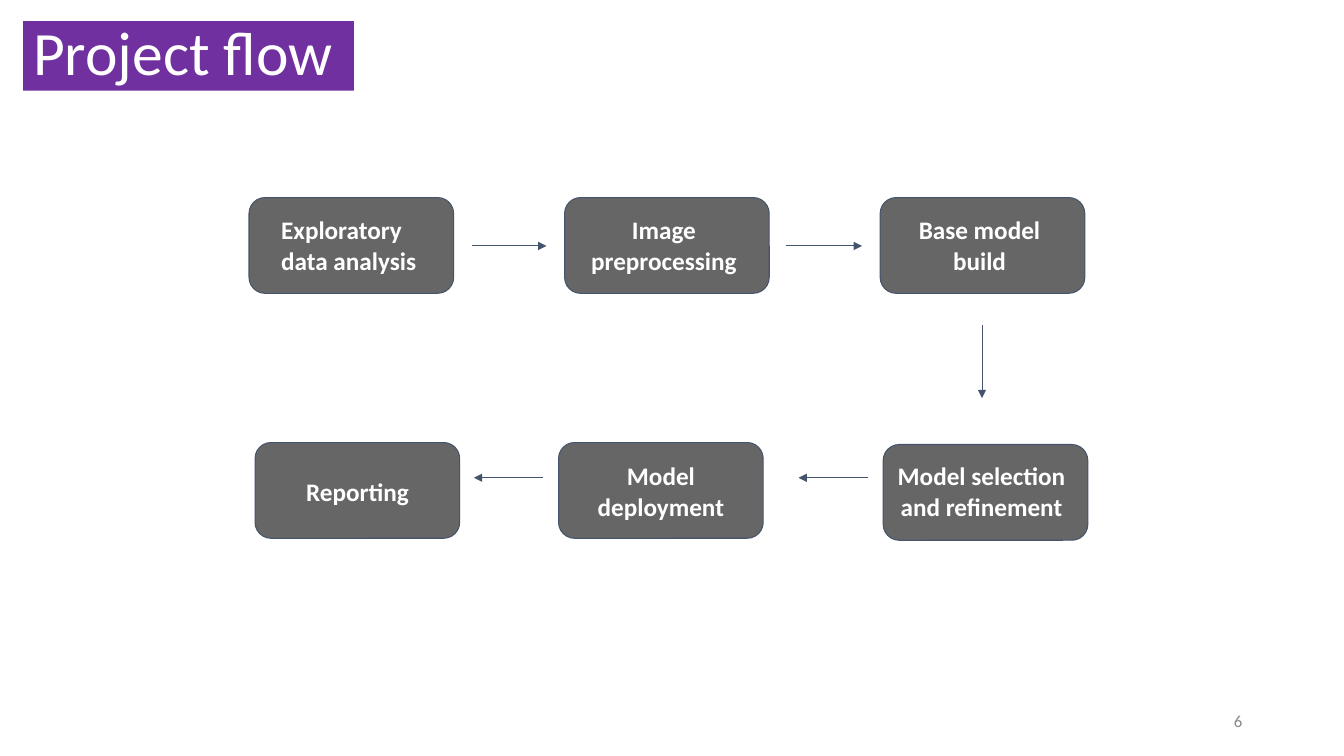
from lxml import etree
from pptx import Presentation
from pptx.dml.color import RGBColor
from pptx.enum.shapes import MSO_CONNECTOR, MSO_SHAPE
from pptx.enum.text import MSO_ANCHOR, PP_ALIGN
from pptx.oxml.ns import qn
from pptx.util import Inches, Pt

RECT, ROUND = MSO_SHAPE.RECTANGLE, MSO_SHAPE.ROUNDED_RECTANGLE
STRAIGHT = MSO_CONNECTOR.STRAIGHT
LEFT, CENTER, RIGHT = PP_ALIGN.LEFT, PP_ALIGN.CENTER, PP_ALIGN.RIGHT
TOP, MIDDLE = MSO_ANCHOR.TOP, MSO_ANCHOR.MIDDLE
PURPLE, GREY, NAVY, WHITE, PALE = "7030A0", "666666", "44546A", "FFFFFF", "888888"


def rgb(code):
    return RGBColor.from_string(code)


def write(sp, text, size, color, align=LEFT, anchor=MIDDLE, pad=0.05, bold=False):
    tf = sp.text_frame
    frame = {"word_wrap": True, "vertical_anchor": anchor,
             "margin_left": Inches(0.1), "margin_right": Inches(0.1),
             "margin_top": Inches(pad), "margin_bottom": Inches(pad)}
    for name, value in frame.items():
        setattr(tf, name, value)
    p = tf.paragraphs[0]
    p.alignment = align
    r = p.add_run()
    r.text = text
    for name, value in {"name": "Calibri", "size": Pt(size), "bold": bold}.items():
        setattr(r.font, name, value)
    r.font.color.rgb = rgb(color)
    return p


prs = Presentation()
prs.slide_width, prs.slide_height = Inches(13.33), Inches(7.5)
s = prs.slides.add_slide(prs.slide_layouts[6])

# Title
sp = s.shapes.add_shape(RECT, Inches(0.23), Inches(0.21), Inches(3.28), Inches(0.69))
sp.shadow.inherit = False
sp.fill.solid()
sp.fill.fore_color.rgb = rgb(PURPLE)
sp.line.fill.background()
write(sp, "Project flow", 44, WHITE).line_spacing = 0.9

# Steps on a grid of three columns and two rows
X0, Y0, COL, ROW = 2.47, 1.96, 3.13, 2.43
BOX_W, BOX_H = 2.03, 0.95
# column, row, nudge of the box, label, label left, width and alignment
steps = [
    (0, 0, 0, 0, "Exploratory data analysis", 2.69, 1.55, LEFT),
    (1, 0, 0, 0, "Image preprocessing", 5.73, 1.71, CENTER),
    (2, 0, 0, 0, "Base model build", 8.94, 1.55, CENTER),
    (2, 1, 0.03, 0.02, "Model selection and refinement", 8.61, 2.25, CENTER),
    (1, 1, -0.06, 0, "Model deployment", 5.7, 1.71, CENTER),
    (0, 1, 0.06, 0, "Reporting", 2.69, 1.71, CENTER),
]
for col, row, dx, dy, label, left, width, align in steps:
    x, y = X0 + col * COL + dx, Y0 + row * ROW + dy
    sp = s.shapes.add_shape(ROUND, Inches(x), Inches(y), Inches(BOX_W), Inches(BOX_H))
    sp.shadow.inherit = False
    sp.fill.solid()
    sp.fill.fore_color.rgb = rgb(GREY)
    sp.line.color.rgb = rgb(NAVY)
    sp.line.width = Pt(0.75)
    # One-line labels sit half a line lower
    height = 0.81 if " " in label else 0.5
    top = Y0 + row * (ROW + 0.01) + 0.07 + (0.81 - height) / 2
    sp = s.shapes.add_textbox(Inches(left), Inches(top), Inches(width), Inches(height))
    write(sp, label, 18, WHITE, align, TOP, 0.1, True)

# Arrows between the steps
arrows = [
    (4.68, 2.44, 5.42, 2.44),
    (7.8, 2.44, 8.55, 2.44),
    (9.74, 3.22, 9.74, 3.95),
    (8.61, 4.74, 7.92, 4.74),
    (5.39, 4.74, 4.7, 4.74),
]
for ends in arrows:
    line = s.shapes.add_connector(STRAIGHT, *(Inches(v) for v in ends))
    line.line.color.rgb = rgb(NAVY)
    line.line.width = Pt(0.75)
    etree.SubElement(line.line._get_or_add_ln(), qn("a:tailEnd"), type="triangle")
    etree.SubElement(line._element.spPr, qn("a:effectLst"))

# Slide number
sp = s.shapes.add_textbox(Inches(9.42), Inches(6.95), Inches(3), Inches(0.4))
write(sp, "6", 12, PALE, RIGHT)

prs.save("out.pptx")
